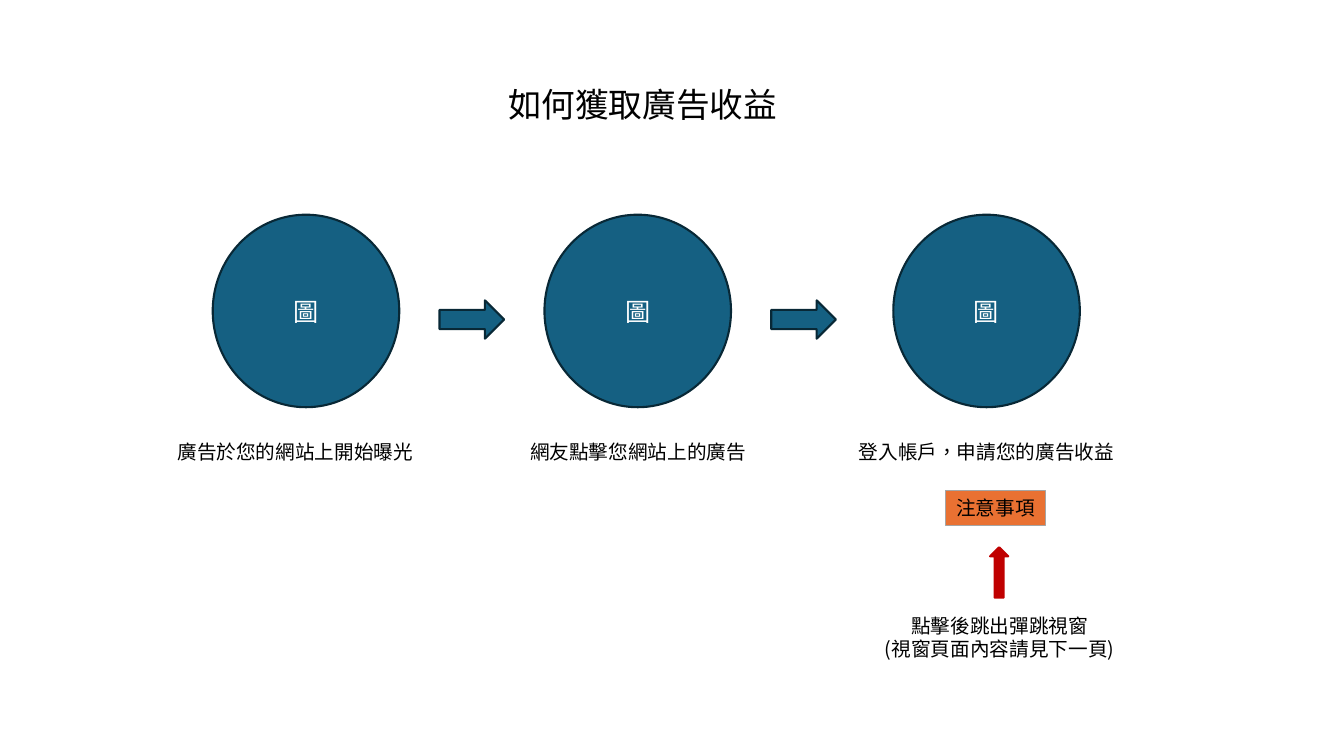
from dataclasses import dataclass

from lxml.etree import SubElement
from pptx import Presentation
from pptx.dml.color import RGBColor
from pptx.enum.shapes import MSO_SHAPE as Preset
from pptx.enum.text import MSO_ANCHOR as Anchor, MSO_AUTO_SIZE as AutoSize, PP_ALIGN as Align
from pptx.oxml.ns import qn
from pptx.util import Pt

PX = 9144


@dataclass(frozen=True)
class Theme:
    blue: str = "156082"
    navy: str = "082836"
    orange: str = "E97132"
    gray: str = "A5A5A5"
    red: str = "C00000"
    black: str = "000000"
    white: str = "FFFFFF"
    title_size: int = 24
    circle_size: int = 18
    body_size: int = 14
    cjk: str = "Noto Sans CJK TC"
    latin: str = "Arial"


THEME = Theme()


def scaled(*box):
    return [length * PX for length in box]


def write_text(shape, text, size=THEME.body_size, color=THEME.black, font=THEME.cjk,
               align=Align.CENTER, anchor=Anchor.TOP, grow=True):
    frame = shape.text_frame
    frame.word_wrap = True
    frame.vertical_anchor = anchor
    frame.auto_size = AutoSize.SHAPE_TO_FIT_TEXT if grow else AutoSize.NONE
    for index, line in enumerate(text.split("\n")):
        paragraph = frame.add_paragraph() if index else frame.paragraphs[0]
        paragraph.alignment = align
        run = paragraph.add_run()
        run.text = line
        run.font.size = Pt(size)
        run.font.color.rgb = RGBColor.from_string(color)
        run.font.name = font
        properties = run._r.get_or_add_rPr()
        properties.set("lang", "zh-TW")
        SubElement(properties, qn("a:ea")).set("typeface", font)


def add_label(slide, box, text, **text_format):
    label = slide.shapes.add_textbox(*scaled(*box))
    write_text(label, text, **text_format)


def add_preset(slide, preset, box, fill=THEME.blue, line=THEME.navy, line_width=1.5):
    shape = slide.shapes.add_shape(preset, *scaled(*box))
    shape.shadow.inherit = False
    shape.fill.solid()
    shape.fill.fore_color.rgb = RGBColor.from_string(fill)
    shape.line.color.rgb = RGBColor.from_string(line)
    shape.line.width = Pt(line_width)
    return shape


def add_step(slide, left, top, width, height, caption, caption_shift, caption_width, has_next):
    circle = add_preset(slide, Preset.OVAL, (left, top, width, height))
    write_text(circle, "圖", size=THEME.circle_size, color=THEME.white, font=THEME.latin,
               anchor=Anchor.MIDDLE, grow=False)
    caption_left = left + (width - caption_width) // 2 + caption_shift
    add_label(slide, (caption_left, top + height + 28, caption_width, 34), caption)
    if has_next:
        add_preset(slide, Preset.RIGHT_ARROW, (left + width + 40, top + 85, 64, 38))


def add_notice(slide, left, top, width):
    button = add_preset(slide, Preset.RECTANGLE, (left + 71, top, 99, 34),
                        fill=THEME.orange, line=THEME.gray, line_width=0.75)
    write_text(button, "注意事項", font=THEME.latin)
    add_preset(slide, Preset.UP_ARROW, (left + width // 2 - 9, top + 56, 18, 50),
               fill=THEME.red, line=THEME.red)
    add_label(slide, (left, top + 117, width, 57), "點擊後跳出彈跳視窗\n(視窗頁面內容請見下一頁)")


def main():
    presentation = Presentation()
    presentation.slide_width, presentation.slide_height = scaled(1333, 750)
    slide = presentation.slides.add_slide(presentation.slide_layouts[6])
    add_label(slide, (494, 78, 289, 50), "如何獲取廣告收益",
              size=THEME.title_size, align=Align.LEFT)
    steps = [
        (211, "廣告於您的網站上開始曝光", -10, 256),
        (540, "網友點擊您網站上的廣告", 1, 236),
        (886, "登入帳戶，申請您的廣告收益", 0, 275),
    ]
    for number, (left, caption, shift, caption_width) in enumerate(steps, 1):
        add_step(slide, left, 213, 185, 191, caption, shift, caption_width,
                 has_next=number < len(steps))
    add_notice(slide, 867, 487, 249)
    presentation.save("out.pptx")


if __name__ == "__main__":
    main()
